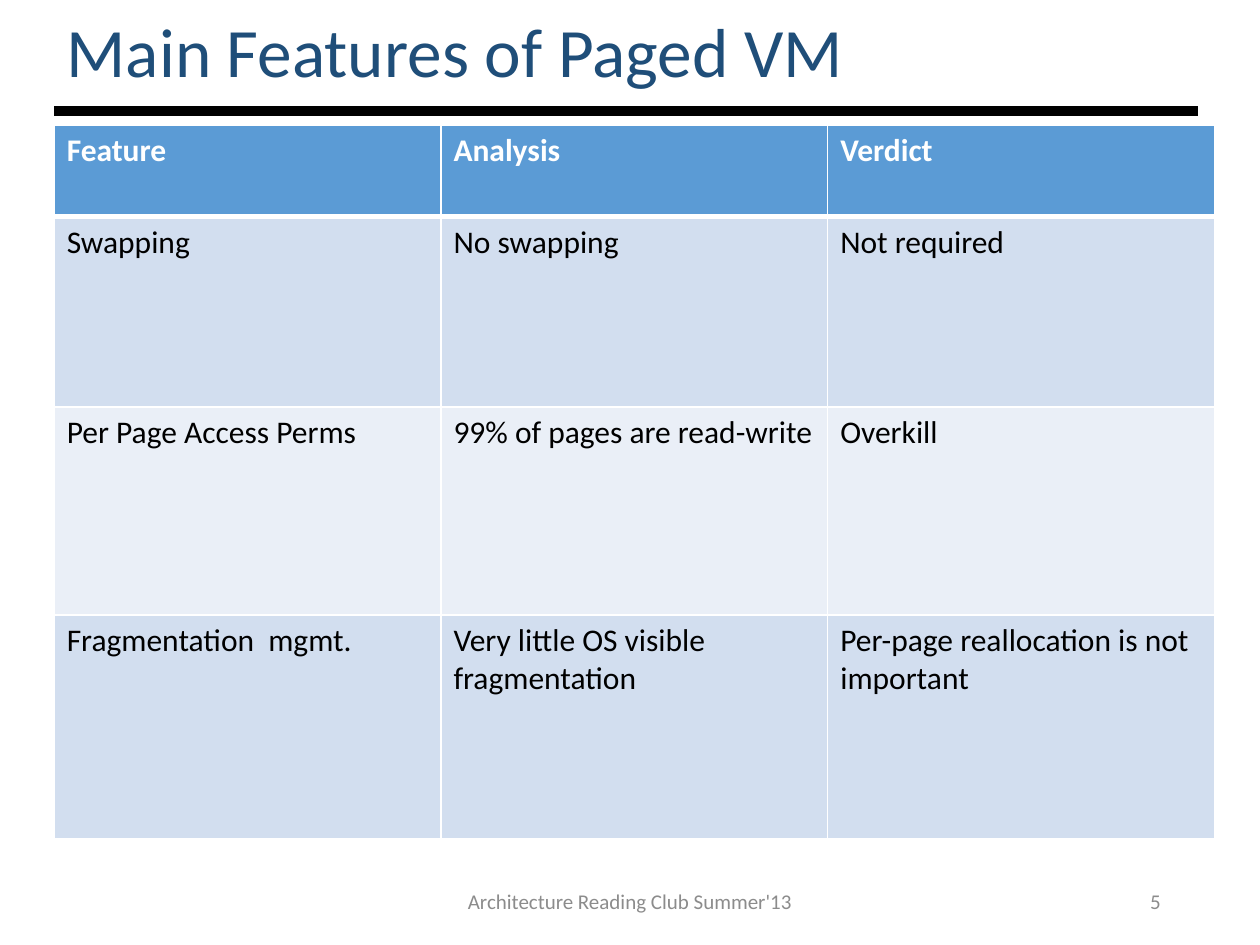
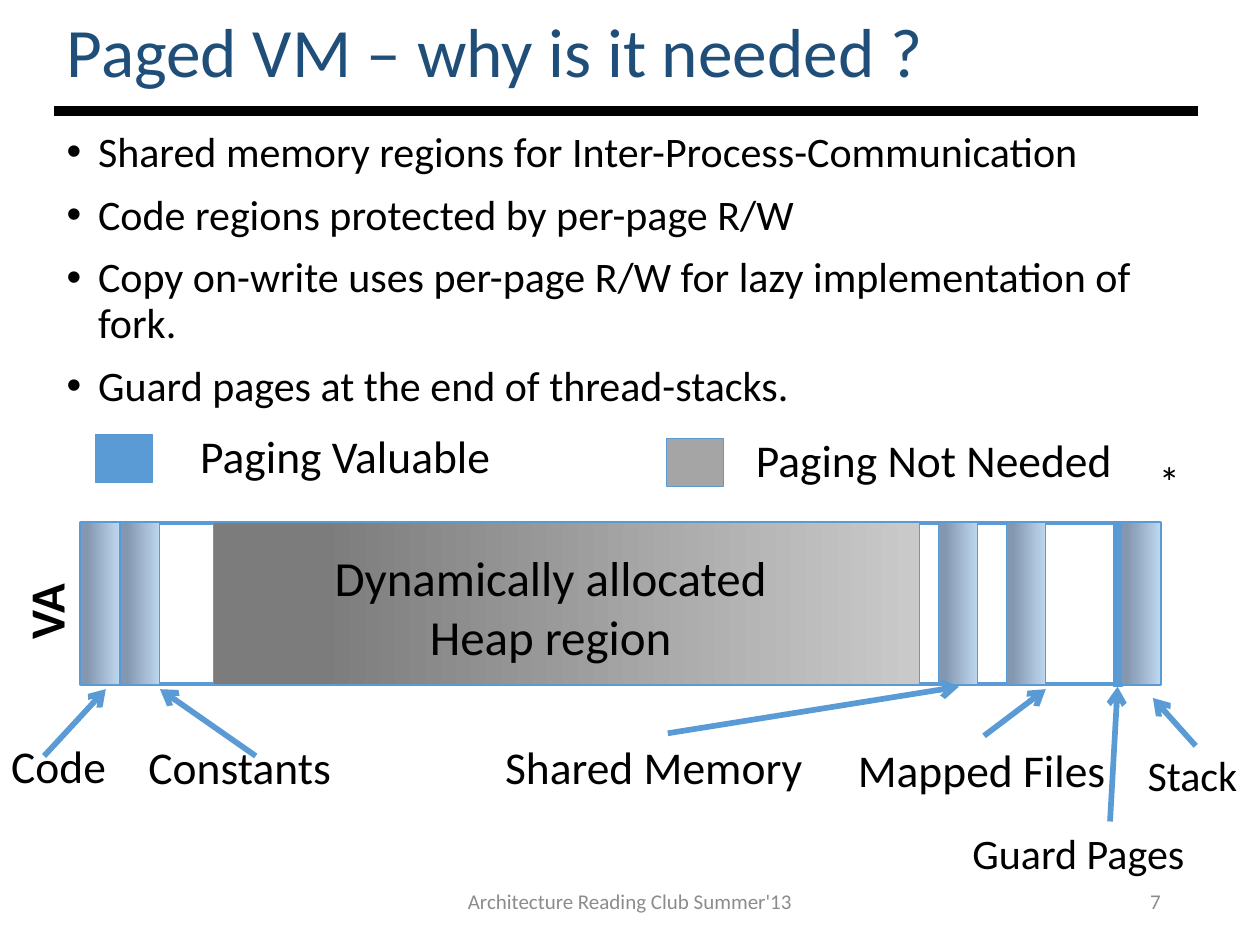
from lxml.etree import SubElement
from pptx import Presentation
from pptx.dml.color import RGBColor
from pptx.enum.shapes import MSO_CONNECTOR, MSO_SHAPE
from pptx.enum.text import MSO_ANCHOR, MSO_AUTO_SIZE, PP_ALIGN
from pptx.oxml import parse_xml
from pptx.oxml.ns import nsdecls, qn
from pptx.util import Inches, Pt

FONT = "Calibri"
BLACK = RGBColor(0x00, 0x00, 0x00)
WHITE = RGBColor(0xFF, 0xFF, 0xFF)
NAVY = RGBColor(0x1F, 0x4E, 0x79)
BLUE = RGBColor(0x5B, 0x9B, 0xD5)
GRAY = RGBColor(0xA5, 0xA5, 0xA5)
FOOTER_GRAY = RGBColor(0x8C, 0x8C, 0x8C)
ROW_FILLS = (RGBColor(0xEA, 0xEF, 0xF7), RGBColor(0xD2, 0xDE, 0xEF))
REGION_GRADIENT = ((0.15, RGBColor(0x84, 0x97, 0xB0)), (1, RGBColor(0xBD, 0xD7, 0xEE)))
HEAP_GRADIENT = ((0.15, RGBColor(0x7C, 0x7C, 0x7C)), (0.99, RGBColor(0xC9, 0xC9, 0xC9)))

LEFT, CONTENT_TOP, CONTENT_WIDTH = 0.43, 0.99, 9.08
FOOTER = "Architecture Reading Club Summer'13"

FEATURES_TITLE = "Main Features of Paged VM"
FEATURES = [
    ("Feature", "Analysis", "Verdict"),
    ("Swapping", "No swapping", "Not required"),
    ("Per Page Access Perms", "99% of pages are read-write", "Overkill"),
    ("Fragmentation  mgmt.", "Very little OS visible fragmentation",
     "Per-page reallocation is not important"),
]
COLUMN_WIDTH = 3.07
ROW_HEIGHTS = (0.73, 1.51, 1.65, 1.78)

NEEDS_TITLE = "Paged VM – why is it needed ?"
NEEDS = [
    "Shared memory regions for Inter-Process-Communication",
    "Code regions protected by per-page R/W",
    "Copy on-write uses per-page R/W for lazy implementation of fork.",
    "Guard pages at the end of thread-stacks.",
]
LEGEND = [
    ("Paging Valuable", BLUE, (0.76, 3.45), (1.49, 3.35, 2.86, 0.54)),
    ("Paging Not Needed", GRAY, (5.29, 3.48), (5.9, 3.38, 3.45, 0.54)),
]
MEMORY_LEFT, MEMORY_TOP, MEMORY_WIDTH, MEMORY_HEIGHT = 0.64, 4.15, 8.57, 1.28
REGION_WIDTH = 0.31
REGION_LEFTS = (0.64, 0.96, 7.45, 7.99, 8.9)
HEAP_LINES = ["Dynamically allocated", "Heap region"]
REGION_LABELS = [
    ("Code", 26, (-0.01, 5.81, 0.97, 0.54), (0.35, 6), (0.84, 5.47)),
    ("Constants", 26, (1.08, 5.82, 2.2, 0.54), (2.03, 6), (1.27, 5.47)),
    ("Shared Memory", 26, (3.91, 5.82, 2.79, 0.54), (5.3, 5.82), (7.61, 5.45)),
    ("Mapped Files", 26, (6.71, 5.84, 2.2, 0.54), (7.81, 5.84), (8.3, 5.47)),
    ("Guard Pages", 24, (7.62, 6.52, 2.37, 0.5), (8.81, 6.52), (8.87, 5.45)),
    ("Stack", 24, (9.01, 5.9, 0.93, 0.5), (9.49, 5.92), (9.15, 5.54)),
]


def inches(values):
    return [Inches(value) for value in values]


def set_font(paragraph, size, color, bold=False):
    font = paragraph.font
    font.name, font.size, font.bold = FONT, Pt(size), bold
    font.color.rgb = color


def add_text(slide, box, lines, size, color=BLACK, align=PP_ALIGN.LEFT,
             anchor=MSO_ANCHOR.TOP, bold=False):
    shape = slide.shapes.add_textbox(*inches(box))
    frame = shape.text_frame
    frame.word_wrap = True
    frame.vertical_anchor = anchor
    frame.text = "\n".join(lines)
    for paragraph in frame.paragraphs:
        paragraph.alignment = align
        set_font(paragraph, size, color, bold)
    return shape


def add_line(slide, start, end, color, width, arrow=False):
    line = slide.shapes.add_connector(MSO_CONNECTOR.STRAIGHT, *inches(start + end))
    line.line.color.rgb = color
    line.line.width = Pt(width)
    if arrow:
        SubElement(line.line._get_or_add_ln(), qn("a:tailEnd"), type="arrow")
    SubElement(line._element.spPr, qn("a:effectLst"))


def add_box(slide, box, fill=None, gradient=None, line_width=0.5):
    shape = slide.shapes.add_shape(MSO_SHAPE.RECTANGLE, *inches(box))
    shape.shadow.inherit = False
    shape.line.color.rgb = BLUE
    shape.line.width = Pt(line_width)
    if gradient:
        shape.fill.gradient()
        shape.fill.gradient_angle = 0
        for stop, (position, color) in zip(shape.fill.gradient_stops, gradient):
            stop.position = position
            stop.color.rgb = color
    elif fill is not None:
        shape.fill.solid()
        shape.fill.fore_color.rgb = fill
    else:
        shape.fill.background()


def add_slide(presentation, title_text, number):
    slide = presentation.slides.add_slide(presentation.slide_layouts[5])
    add_line(slide, (LEFT, 0.88), (9.51, 0.88), BLACK, 6)
    title = slide.shapes.title
    title.left, title.top, title.width, title.height = inches((LEFT, 0.11, CONTENT_WIDTH, 0.66))
    frame = title.text_frame
    frame.text = title_text
    frame.auto_size = MSO_AUTO_SIZE.NONE
    frame.vertical_anchor = MSO_ANCHOR.MIDDLE
    paragraph = frame.paragraphs[0]
    paragraph.alignment = PP_ALIGN.LEFT
    paragraph.line_spacing = 0.9
    set_font(paragraph, 39.6, NAVY)
    add_text(slide, (3.31, 6.95, 3.38, 0.4), [FOOTER], 12, FOOTER_GRAY,
             PP_ALIGN.CENTER, MSO_ANCHOR.MIDDLE)
    add_text(slide, (7.06, 6.95, 2.25, 0.4), [str(number)], 12, FOOTER_GRAY,
             PP_ALIGN.RIGHT, MSO_ANCHOR.MIDDLE)
    return slide


def set_borders(cell, top, bottom):
    properties = cell._tc.get_or_add_tcPr()
    for index, (side, width) in enumerate(zip("LRTB", (1, 1, top, bottom))):
        properties.insert(index, parse_xml(
            f'<a:ln{side} {nsdecls("a")} w="{Pt(width)}"><a:solidFill>'
            f'<a:srgbClr val="{WHITE}"/></a:solidFill></a:ln{side}>'))


def add_feature_table(slide):
    columns = len(FEATURES[0])
    box = (LEFT, CONTENT_TOP, COLUMN_WIDTH * columns, sum(ROW_HEIGHTS))
    table = slide.shapes.add_table(len(FEATURES), columns, *inches(box)).table
    for column in table.columns:
        column.width = Inches(COLUMN_WIDTH)
    for row_index, texts in enumerate(FEATURES):
        header = row_index == 0
        table.rows[row_index].height = Inches(ROW_HEIGHTS[row_index])
        for column_index, text in enumerate(texts):
            cell = table.cell(row_index, column_index)
            cell.text = text
            set_font(cell.text_frame.paragraphs[0], 18, WHITE if header else BLACK, header)
            cell.fill.solid()
            cell.fill.fore_color.rgb = BLUE if header else ROW_FILLS[row_index % 2]
            set_borders(cell, top=3 if row_index == 1 else 1, bottom=3 if header else 1)


def add_bullets(slide):
    body = add_text(slide, (LEFT, CONTENT_TOP, CONTENT_WIDTH, 2.4), NEEDS, 24)
    for paragraph in body.text_frame.paragraphs:
        paragraph.line_spacing = 0.9
        paragraph.space_before = Pt(10)
        properties = paragraph._p.get_or_add_pPr()
        properties.set("marL", str(Inches(0.25)))
        properties.set("indent", str(Inches(-0.25)))
        bullet_font = parse_xml(f'<a:buFont {nsdecls("a")} typeface="Arial"/>')
        bullet = parse_xml(f'<a:buChar {nsdecls("a")} char="•"/>')
        properties.find(qn("a:defRPr")).addprevious(bullet_font)
        bullet_font.addnext(bullet)


def add_memory_map(slide):
    add_box(slide, (MEMORY_LEFT, MEMORY_TOP, MEMORY_WIDTH, MEMORY_HEIGHT), line_width=2.25)
    add_box(slide, (1.69, MEMORY_TOP, 5.61, MEMORY_HEIGHT), gradient=HEAP_GRADIENT)
    add_text(slide, (1.69, 4.3, 5.36, 1.04), HEAP_LINES, 28, align=PP_ALIGN.CENTER)
    add_box(slide, (8.84, MEMORY_TOP + 0.02, 0.07, MEMORY_HEIGHT), BLUE)
    for left in REGION_LEFTS:
        add_box(slide, (left, MEMORY_TOP, REGION_WIDTH, MEMORY_HEIGHT), gradient=REGION_GRADIENT)
    for text, color, corner, text_box in LEGEND:
        add_box(slide, corner + (0.45, 0.38), color)
        add_text(slide, text_box, [text], 26)
    for text, size, box, start, end in REGION_LABELS:
        add_text(slide, box, [text], size)
        add_line(slide, start, end, BLUE, 3.25, arrow=True)
    add_text(slide, (0.01, 4.54, 0.7, 0.57), ["VA"], 28, bold=True).rotation = 270
    add_text(slide, (9.1, 3.57, 0.74, 0.5), ["*"], 24)


def main():
    """Build the two paged virtual memory slides."""
    presentation = Presentation()
    presentation.slide_width, presentation.slide_height = Inches(10), Inches(7.5)
    add_feature_table(add_slide(presentation, FEATURES_TITLE, 5))
    needs_slide = add_slide(presentation, NEEDS_TITLE, 7)
    add_bullets(needs_slide)
    add_memory_map(needs_slide)
    presentation.save("out.pptx")


if __name__ == "__main__":
    main()
